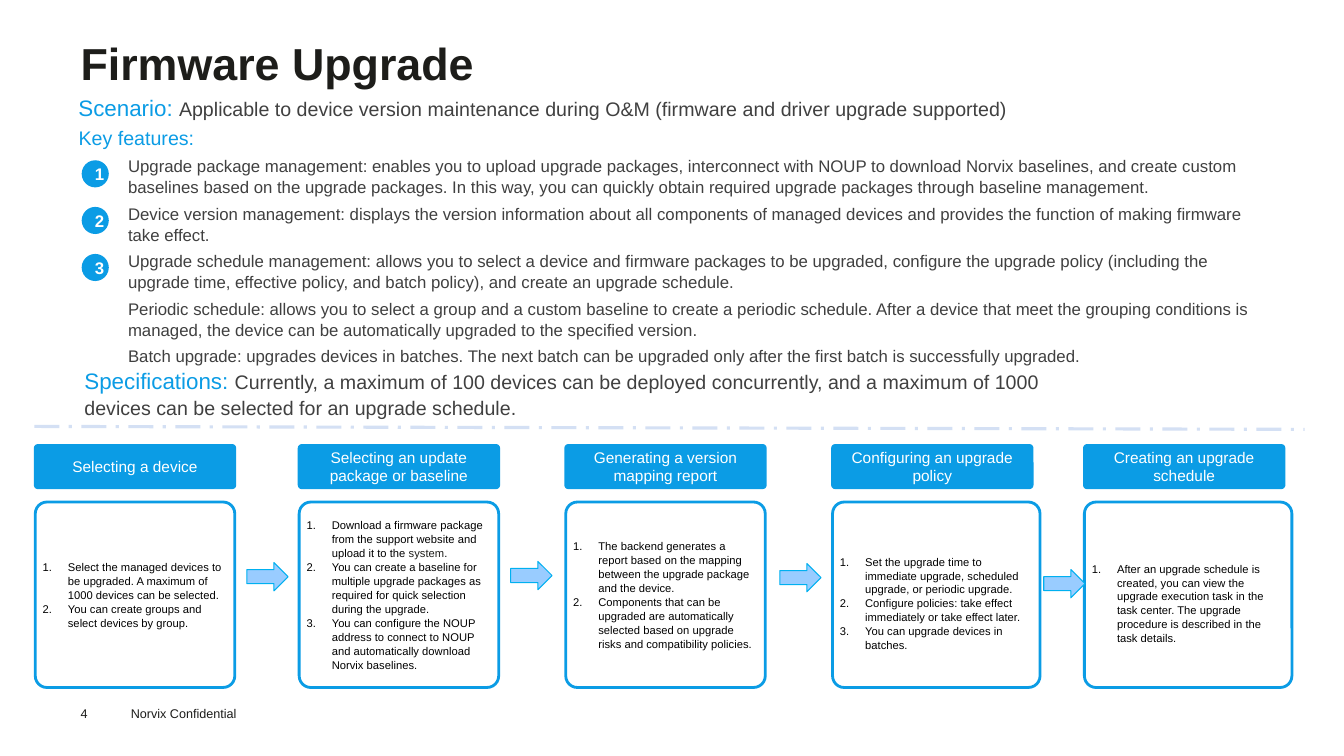
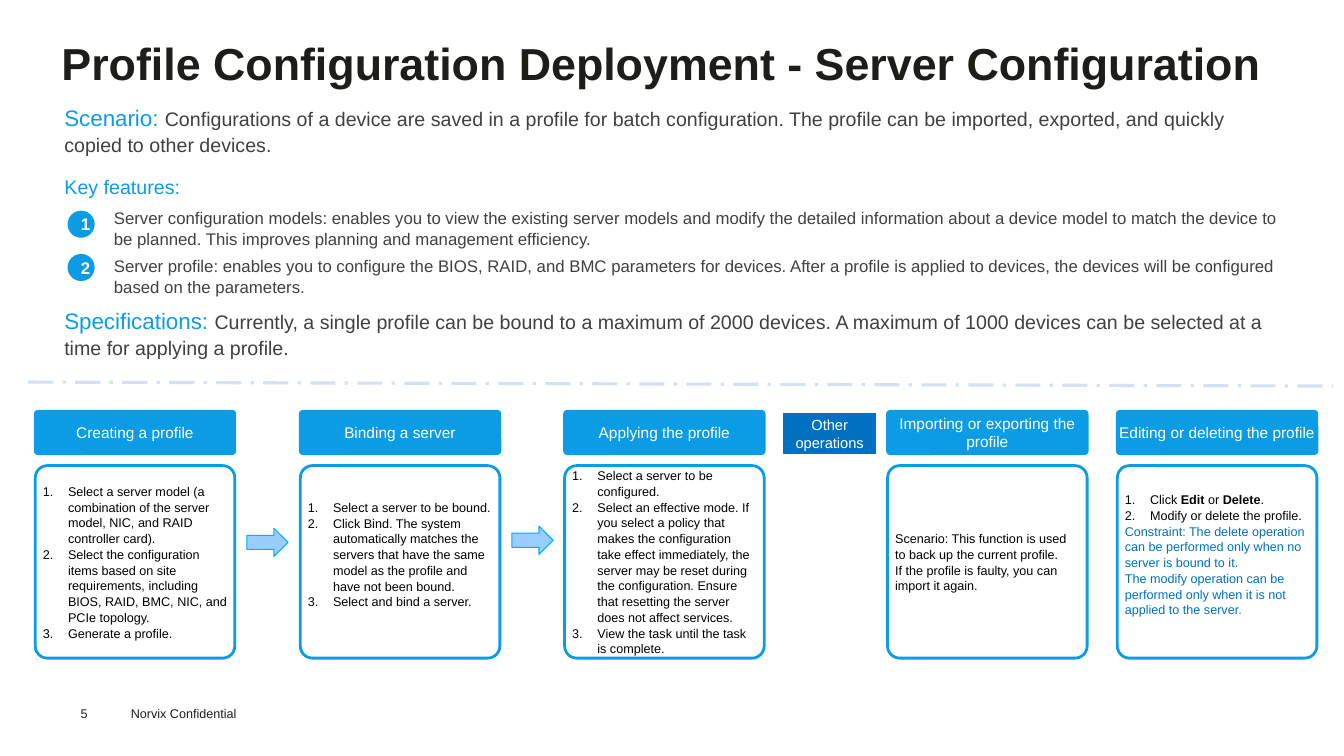
import dataclasses
import typing

import lxml.etree
import pptx
import pptx.dml.color
import pptx.enum.dml
import pptx.enum.shapes
import pptx.enum.text
import pptx.oxml.ns
import pptx.util

Pt = pptx.util.Pt
SHAPE = pptx.enum.shapes.MSO_SHAPE
ALIGN = pptx.enum.text.PP_ALIGN
ANCHOR = pptx.enum.text.MSO_ANCHOR

FACE = "Arial"
BLUE, DEEP, PALE, SKY, CYAN = "0B9CE5", "0070C0", "D4E0F4", "99CCFF", "00B0F0"
INK, FOOT, GREY, BLACK, WHITE = "1D1D1A", "1D1D1B", "404040", "000000", "FFFFFF"
CARD_W, HEAD_H, DOT, INSET = 142.6, 30.2, 19.4, 2.9
SIDE, EDGE = 7.2, 3.6


class Run(typing.NamedTuple):
    text: str
    hue: str = ""
    bold: bool = False
    size: float = 0


@dataclasses.dataclass
class Line:
    runs: list[Run]
    number: bool = True
    hue: str = BLACK


@dataclasses.dataclass
class Card:
    left: float
    head: str
    lines: list[Line]
    wide: float = CARD_W
    above: float = INSET
    below: float = INSET


class Lead(typing.NamedTuple):
    left: float
    top: float
    width: float
    label: str
    text: str


@dataclasses.dataclass
class Page:
    number: int
    title: str
    title_box: tuple[float, float]
    leads: list[Lead]
    list_box: tuple[float, float, float]
    gap: float
    items: list[str]
    dots: list[float]
    rule: tuple[float, float, float, float]
    head_top: float
    card_top: float
    card_h: float
    size: float
    cards: list[Card]
    arrows: list[tuple[float, float]]
    tag: str = ""


def step(text: str) -> Line:
    return Line([Run(text)])


def note(text: str, hue: str = BLACK) -> Line:
    return Line([Run(text)], False, hue)


def color(code: str) -> pptx.dml.color.RGBColor:
    return pptx.dml.color.RGBColor.from_string(code)


def indent(para, left: float, hang: float, mark: str, **extra: str) -> None:
    """Set the indents and the bullet element; call before other formatting."""
    props = para._p.get_or_add_pPr()
    props.set("marL", str(Pt(left)))
    props.set("indent", str(Pt(hang)))
    lxml.etree.SubElement(props, pptx.oxml.ns.qn(mark), **extra)


def write(para, runs: list[Run], size: float, hue: str, bold: bool = False,
          align=ALIGN.LEFT, pitch: float = 1.0, after: float = 0) -> None:
    """Fill a paragraph; a run sets only what differs from the paragraph."""
    para.alignment = align
    para.line_spacing = pitch
    para.space_before = Pt(0)
    para.space_after = Pt(after)
    font = para.font
    font.name, font.size, font.bold = FACE, Pt(size), bold
    font.color.rgb = color(hue)
    for part in runs:
        run = para.add_run()
        run.text = part.text
        if part.hue:
            run.font.color.rgb = color(part.hue)
        if part.bold:
            run.font.bold = True
        if part.size:
            run.font.size = Pt(part.size)


def set_frame(shape, left: float, above: float, right: float, below: float,
              anchor=ANCHOR.TOP):
    frame = shape.text_frame
    frame.word_wrap = True
    frame.auto_size = pptx.enum.text.MSO_AUTO_SIZE.NONE
    frame.vertical_anchor = anchor
    frame.margin_left, frame.margin_top = Pt(left), Pt(above)
    frame.margin_right, frame.margin_bottom = Pt(right), Pt(below)
    return frame


def place(shape, left: float, top: float, width: float, height: float) -> None:
    shape.left, shape.top = Pt(left), Pt(top)
    shape.width, shape.height = Pt(width), Pt(height)


def add_box(slide, kind, left: float, top: float, width: float, height: float,
            fill: str = "", edge: str = "", weight: float = 2):
    box = slide.shapes.add_shape(kind, Pt(left), Pt(top), Pt(width), Pt(height))
    box.shadow.inherit = False
    if kind == SHAPE.ROUNDED_RECTANGLE:
        box.adjustments[0] = 0.063
    if fill:
        box.fill.solid()
        box.fill.fore_color.rgb = color(fill)
    else:
        box.fill.background()
    if edge:
        box.line.color.rgb = color(edge)
        box.line.width = Pt(weight)
    else:
        box.line.fill.background()
    return box


def add_label(box, text: str, size: float, side: float, edge: float,
              bold: bool = False) -> None:
    frame = set_frame(box, side, edge, side, edge, ANCHOR.MIDDLE)
    write(frame.paragraphs[0], [Run(text)], size, WHITE, bold, ALIGN.CENTER)


def add_text(slide, left: float, top: float, width: float, height: float,
             runs: list[Run], size: float, hue: str, side: float = SIDE,
             edge: float = EDGE, pitch: float = 1.0) -> None:
    box = slide.shapes.add_textbox(Pt(left), Pt(top), Pt(width), Pt(height))
    frame = set_frame(box, side, edge, side, edge)
    write(frame.paragraphs[0], runs, size, hue, pitch=pitch)


def add_rule(slide, ends: tuple[float, float, float, float]) -> None:
    rule = slide.shapes.add_connector(
        pptx.enum.shapes.MSO_CONNECTOR.STRAIGHT, *map(Pt, ends))
    rule.line.color.rgb = color(PALE)
    rule.line.width = Pt(2.25)
    rule.line.dash_style = pptx.enum.dml.MSO_LINE.LONG_DASH_DOT
    lxml.etree.SubElement(rule._element.spPr, pptx.oxml.ns.qn("a:effectLst"))


def add_list(slide, page: Page) -> None:
    left, top, width = page.list_box
    body = slide.placeholders[1]
    place(body, left, top, width, 172)
    frame = set_frame(body, SIDE, EDGE, SIDE, EDGE)
    para = frame.paragraphs[0]
    indent(para, 0, 0, "a:buNone")
    write(para, [Run("Key features:")], 14, BLUE, pitch=1.08, after=page.gap)
    for item in page.items:
        para = frame.add_paragraph()
        indent(para, 35.3, 0, "a:buNone")
        write(para, [Run(item)], 12, GREY, pitch=1.04, after=4)
    for count, dot_top in enumerate(page.dots, 1):
        dot = add_box(slide, SHAPE.OVAL, left + 9.4, dot_top, DOT, DOT, BLUE)
        add_label(dot, str(count), 12, SIDE, EDGE, True)


def add_card(slide, page: Page, card: Card) -> None:
    head = add_box(slide, SHAPE.ROUNDED_RECTANGLE, card.left, page.head_top,
                   CARD_W, HEAD_H, BLUE, BLUE)
    add_label(head, card.head, 11, 0, INSET)
    box = add_box(slide, SHAPE.ROUNDED_RECTANGLE, card.left, page.card_top,
                  card.wide, page.card_h, edge=BLUE)
    frame = set_frame(box, INSET, card.above, INSET, card.below, ANCHOR.MIDDLE)
    for count, line in enumerate(card.lines):
        para = frame.add_paragraph() if count else frame.paragraphs[0]
        if line.number:
            indent(para, 18, -18, "a:buAutoNum", type="arabicPeriod")
        write(para, line.runs, page.size, line.hue, pitch=1.04)


def add_page(deck, page: Page) -> None:
    slide = deck.slides.add_slide(deck.slide_layouts[1])
    left, width = page.title_box
    title = slide.shapes.title
    place(title, left, 21.6, width, 78.5)
    frame = set_frame(title, 0, 0, 0, 0)
    write(frame.paragraphs[0], [Run(page.title)], 32, INK, True, pitch=1.1)
    add_text(slide, 86.4, 500.4, 115.2, 18, [Run("Norvix Confidential")], 9, FOOT)
    add_text(slide, 57.6, 504, 39.6, 10.8, [Run(str(page.number))], 9, FOOT, 0, 0)
    for lead in page.leads:
        runs = [Run(lead.label + " ", BLUE, size=16), Run(lead.text)]
        add_text(slide, lead.left, lead.top, lead.width, 34.6, runs, 14, GREY,
                 pitch=1.08)
    add_list(slide, page)
    add_rule(slide, page.rule)
    for card in page.cards:
        add_card(slide, page, card)
    for left, top in page.arrows:
        add_box(slide, SHAPE.RIGHT_ARROW, left, top, 29.5, 20.2, SKY, CYAN, 0.75)
    if page.tag:
        tag = add_box(slide, SHAPE.RECTANGLE, 560.2, 295.2, 65.5, 28.8,
                      DEEP, DEEP, 0.75)
        add_label(tag, page.tag, 10.5, 6.5, INSET)


PAGES = [
    Page(
        4, "Firmware Upgrade", (57.6, 846),
        [Lead(49, 61.9, 736.6, "Scenario:", "Applicable to device version maintenance during O&M (firmware and driver upgrade supported)"),
         Lead(53.3, 257, 745.9, "Specifications:", "Currently, a maximum of 100 devices can be deployed concurrently, and a maximum of 1000 devices can be selected for an upgrade schedule.")],
        (49, 85, 863.3), 4,
        ["Upgrade package management: enables you to upload upgrade packages, interconnect with NOUP to download Norvix baselines, and create custom baselines based on the upgrade packages. In this way, you can quickly obtain required upgrade packages through baseline management.",
         "Device version management: displays the version information about all components of managed devices and provides the function of making firmware take effect.",
         "Upgrade schedule management: allows you to select a device and firmware packages to be upgraded, configure the upgrade policy (including the upgrade time, effective policy, and batch policy), and create an upgrade schedule.",
         "Periodic schedule: allows you to select a group and a custom baseline to create a periodic schedule. After a device that meet the grouping conditions is managed, the device can be automatically upgraded to the specified version.",
         "Batch upgrade: upgrades devices in batches. The next batch can be upgraded only after the first batch is successfully upgraded."],
        [114.5, 147.8, 181.4], (24.5, 304.6, 932.4, 306.7), 318.2, 358.6, 132.5, 8,
        [Card(25.2, "Selecting a device", [
            step("Select the managed devices to be upgraded. A maximum of 1000 devices can be selected."),
            step("You can create groups and select devices by group.")]),
         Card(213.8, "Selecting an update package or baseline", [
             Line([Run("Download a firmware package from the support website and upload it to the "), Run("system", INK), Run(".")]),
             step("You can create a baseline for multiple upgrade packages as required for quick selection during the upgrade."),
             step("You can configure the NOUP address to connect to NOUP and automatically download Norvix baselines.")]),
         Card(404.3, "Generating a version mapping report", [
             step("The backend generates a report based on the mapping between the upgrade package and the device."),
             step("Components that can be upgraded are automatically selected based on upgrade risks and compatibility policies.")]),
         Card(595, "Configuring an upgrade policy", [
             step("Set the upgrade time to immediate upgrade, scheduled upgrade, or periodic upgrade."),
             step("Configure policies: take effect immediately or take effect later."),
             step("You can upgrade devices in batches.")], 148.3, above=14.9),
         Card(775, "Creating an upgrade schedule", [
             step("After an upgrade schedule is created, you can view the upgrade execution task in the task center. The upgrade procedure is described in the task details.")], 148.3, above=14.9)],
        [(176.4, 401.8), (365, 401), (557.3, 402.5), (745.9, 406.8)]),
    Page(
        5, "Profile Configuration Deployment - Server Configuration", (43.9, 902.9),
        [Lead(38.9, 69.1, 875.5, "Scenario:", "Configurations of a device are saved in a profile for batch configuration. The profile can be imported, exported, and quickly copied to other devices."),
         Lead(38.9, 214.6, 875.5, "Specifications:", "Currently, a single profile can be bound to a maximum of 2000 devices. A maximum of 1000 devices can be selected at a time for applying a profile.")],
        (38.9, 120.2, 892.1), 6,
        ["Server configuration models: enables you to view the existing server models and modify the detailed information about a device model to match the device to be planned. This improves planning and management efficiency.",
         "Server profile: enables you to configure the BIOS, RAID, and BMC parameters for devices. After a profile is applied to devices, the devices will be configured based on the parameters."],
        [150.5, 181.4], (20.2, 272.9, 952.6, 275.8), 293.8, 332.6, 137.5, 9,
        [Card(25.2, "Creating a profile", [
            step("Select a server model (a combination of the server model, NIC, and RAID controller card)."),
            step("Select the configuration items based on site requirements, including BIOS, RAID, BMC, NIC, and PCIe topology."),
            step("Generate a profile.")]),
         Card(214.6, "Binding a server", [
             step("Select a server to be bound."),
             step("Click Bind. The system automatically matches the servers that have the same model as the profile and have not been bound."),
             step("Select and bind a server.")], below=13.7),
         Card(403.5, "Applying the profile", [
             step("Select a server to be configured."),
             step("Select an effective mode. If you select a policy that makes the configuration take effect immediately, the server may be reset during the configuration. Ensure that resetting the server does not affect services."),
             step("View the task until the task is complete.")]),
         Card(634.3, "Importing or exporting the profile", [
             note("Scenario: This function is used to back up the current profile."),
             note("If the profile is faulty, you can import it again.")]),
         Card(798.5, "Editing or deleting the profile", [
             Line([Run("Click "), Run("Edit", bold=True), Run(" or "), Run("Delete", bold=True), Run(".")]),
             step("Modify or delete the profile."),
             note("Constraint: The delete operation can be performed only when no server is bound to it.", DEEP),
             note("The modify operation can be performed only when it is not applied to the server.", DEEP)], below=13.7)],
        [(176.4, 377.3), (365.8, 375.8)], "Other operations"),
]


def main() -> None:
    deck = pptx.Presentation()
    deck.slide_width, deck.slide_height = Pt(960.48), Pt(540)
    for page in PAGES:
        add_page(deck, page)
    deck.save("out.pptx")


if __name__ == "__main__":
    main()
